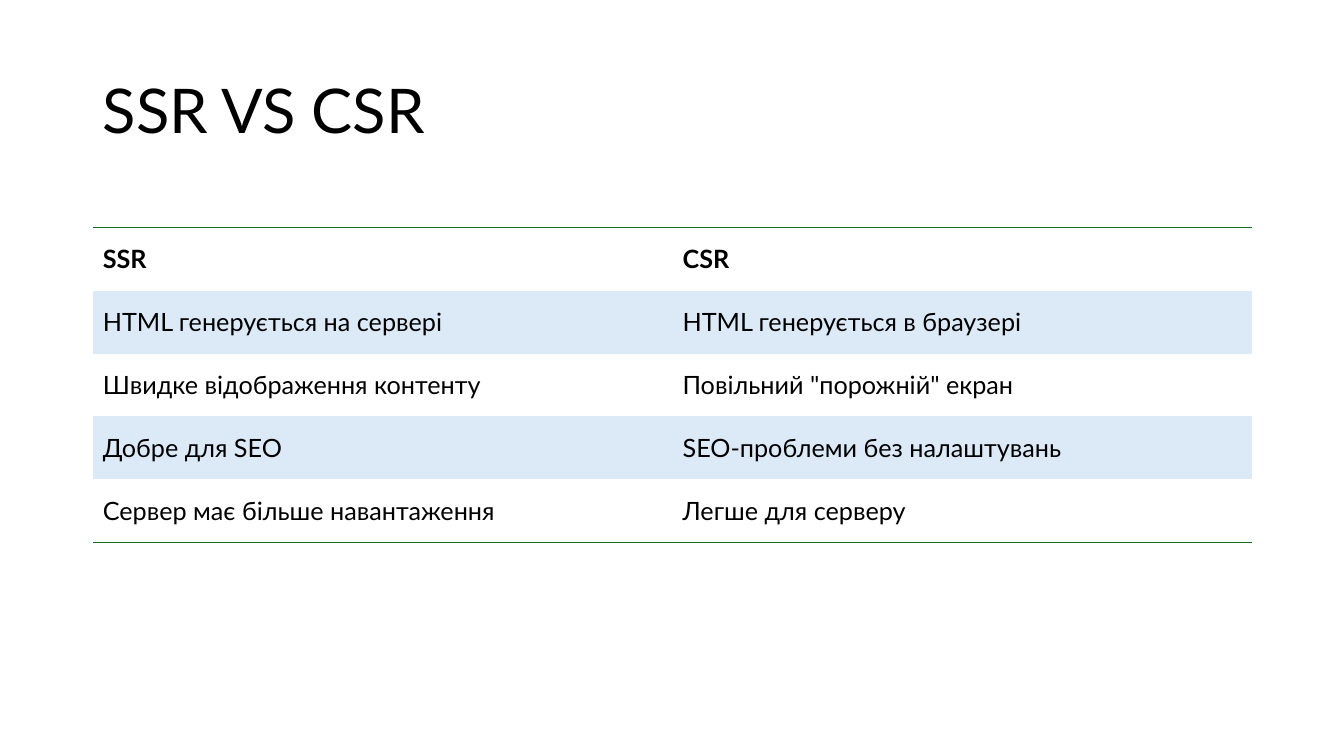
import pptx
import pptx.dml.color
import pptx.enum.text
import pptx.oxml
import pptx.oxml.ns
import pptx.util

Inches, Pt = pptx.util.Inches, pptx.util.Pt
FONT = "Lato"
COLORS = {"text": "000000", "band": "DCEAF7", "rule": "196B24"}
PLAIN_TABLE_STYLE = "{2D5ABB26-0587-4C30-8999-92F81FD0307C}"
LEFT, WIDTH = 0.92, 11.5
ROWS = [
    ("SSR", "CSR"),
    ("HTML генерується на сервері", "HTML генерується в браузері"),
    ("Швидке відображення контенту", 'Повільний "порожній" екран'),
    ("Добре для SEO", "SEO-проблеми без налаштувань"),
    ("Сервер має більше навантаження", "Легше для серверу"),
]


def rgb(name):
    return pptx.dml.color.RGBColor.from_string(COLORS[name])


def format_text(tf, size, bold=False):
    for p in tf.paragraphs:
        p.alignment = pptx.enum.text.PP_ALIGN.LEFT
        for r in p.runs:
            r.font.name = FONT
            r.font.size = Pt(size)
            r.font.bold = bold
            r.font.color.rgb = rgb("text")


def add_rule(cell, side):
    """Draw a 1 pt border on the side "T" or "B" of a cell."""
    ln = pptx.oxml.parse_xml(
        f'<a:ln{side} {pptx.oxml.ns.nsdecls("a")} w="{Pt(1)}"><a:solidFill>'
        f'<a:srgbClr val="{COLORS["rule"]}"/></a:solidFill></a:ln{side}>')
    cell._tc.get_or_add_tcPr().insert(0, ln)


def add_title(slide, text, left, top, width, height):
    sp = slide.shapes.title
    sp.left, sp.top, sp.width, sp.height = map(Inches, (left, top, width, height))
    tf = sp.text_frame
    tf.text = text
    tf.vertical_anchor = pptx.enum.text.MSO_ANCHOR.MIDDLE
    tf.paragraphs[0].line_spacing = 0.9
    format_text(tf, 44)


def add_comparison(slide, rows, left, top, width, height):
    box = map(Inches, (left, top, width, height))
    table = slide.shapes.add_table(len(rows), len(rows[0]), *box).table
    style = table._tbl.tblPr.find(pptx.oxml.ns.qn("a:tableStyleId"))
    style.text = PLAIN_TABLE_STYLE
    for i, row in enumerate(rows):
        for j, text in enumerate(row):
            cell = table.cell(i, j)
            cell.text_frame.text = text
            cell.vertical_anchor = pptx.enum.text.MSO_ANCHOR.MIDDLE
            format_text(cell.text_frame, 18, bold=i == 0)
            if i % 2:
                cell.fill.solid()
                cell.fill.fore_color.rgb = rgb("band")
            else:
                cell.fill.background()
            if i == 0:
                add_rule(cell, "T")
            if i == len(rows) - 1:
                add_rule(cell, "B")


def main():
    prs = pptx.Presentation()
    prs.slide_width, prs.slide_height = Inches(13.33), Inches(7.5)
    slide = prs.slides.add_slide(prs.slide_layouts[5])
    add_title(slide, "SSR VS CSR", LEFT, 0.4, WIDTH, 1.45)
    add_comparison(slide, ROWS, LEFT, 2.26, WIDTH, 3.12)
    prs.save("out.pptx")


if __name__ == "__main__":
    main()
